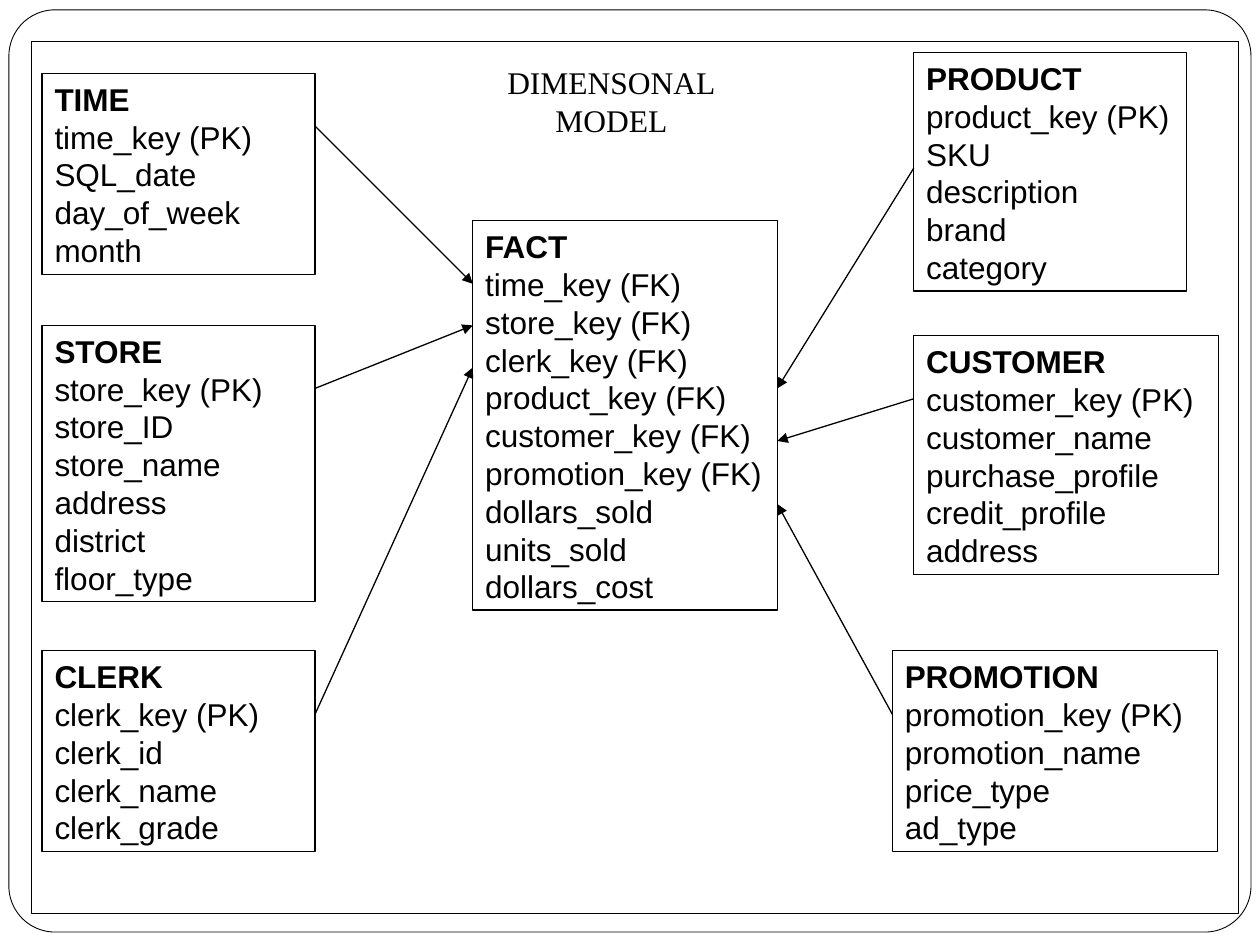
import pptx
import pptx.dml.color
import pptx.enum.shapes
import pptx.enum.text
import pptx.oxml
import pptx.oxml.ns
import pptx.util

Cm, Pt = pptx.util.Cm, pptx.util.Pt
SHAPE = pptx.enum.shapes.MSO_SHAPE
ALIGN = pptx.enum.text.PP_ALIGN
COLORS = {"ink": "000000", "paper": "FFFFFF"}
FRAME_FORMAT = {
    "vertical_anchor": pptx.enum.text.MSO_ANCHOR.TOP,
    "auto_size": pptx.enum.text.MSO_AUTO_SIZE.SHAPE_TO_FIT_TEXT,
    "margin_left": Cm(0.25), "margin_right": Cm(0.25),
    "margin_top": Cm(0.13), "margin_bottom": Cm(0.13),
}


def rgb(name):
    return pptx.dml.color.RGBColor.from_string(COLORS[name])


class Diagram:
    """Holds the style and the current slide."""
    size, pitch, line_width = Pt(18), 0.76, 0.75

    def __init__(self, s):
        self.s = s

    def outline(self, line, width):
        line.color.rgb = rgb("ink")
        line.width = Pt(width)

    def box(self, kind, x, y, w, h, fill=None, width=line_width):
        sp = self.s.shapes.add_shape(kind, Cm(x), Cm(y), Cm(w), Cm(h))
        sp.shadow.inherit = False
        if fill:
            sp.fill.solid()
            sp.fill.fore_color.rgb = rgb(fill)
        else:
            sp.fill.background()
        self.outline(sp.line, width)
        return sp

    def fill_text(self, tf, lines, font, align, wrap, bold_head=False):
        for name, value in {**FRAME_FORMAT, "word_wrap": wrap}.items():
            setattr(tf, name, value)
        for i, text in enumerate(lines):
            p = tf.add_paragraph() if i else tf.paragraphs[0]
            p.alignment = align
            p.line_spacing = Pt(21.6)
            r = p.add_run()
            r.text = text
            style = {"name": font, "size": self.size, "bold": bold_head and i == 0}
            for name, value in style.items():
                setattr(r.font, name, value)
            r.font.color.rgb = rgb("ink")

    def title(self, lines, x, y, w, h):
        sp = self.s.shapes.title
        sp.left, sp.top, sp.width, sp.height = Cm(x), Cm(y), Cm(w), Cm(h)
        self.fill_text(sp.text_frame, lines, "Times New Roman", ALIGN.CENTER, False)
        # Bring the title in front of the frames
        self.s.shapes.element.append(sp.element)

    def entity(self, x, y, w, lines):
        sp = self.box(SHAPE.RECTANGLE, x, y, w, 0.25 + self.pitch * len(lines))
        self.fill_text(sp.text_frame, lines, "Arial", ALIGN.LEFT, True, bold_head=True)

    def arrow(self, x1, y1, x2, y2):
        c = self.s.shapes.add_connector(
            pptx.enum.shapes.MSO_CONNECTOR.STRAIGHT, Cm(x1), Cm(y1), Cm(x2), Cm(y2))
        self.outline(c.line, self.line_width)
        sp_pr = c.element.spPr
        sp_pr.get_or_add_ln().append(pptx.oxml.parse_xml(
            f'<a:tailEnd {pptx.oxml.ns.nsdecls("a")} type="triangle"/>'))
        sp_pr.append(pptx.oxml.parse_xml(
            f'<a:effectLst {pptx.oxml.ns.nsdecls("a")}/>'))


# Fact table: left, top, width, lines
FACT = (9.53, 4.45, 6.14, [
    "FACT", "time_key (FK)", "store_key (FK)", "clerk_key (FK)", "product_key (FK)",
    "customer_key (FK)", "promotion_key (FK)", "dollars_sold", "units_sold",
    "dollars_cost"])

# Dimensions: left, top, width, arrow start y, arrow end y, lines
DIMENSIONS = [
    (0.85, 1.48, 5.5, 2.54, 5.72,
     ["TIME", "time_key (PK)", "SQL_date", "day_of_week", "month"]),
    (0.85, 6.56, 5.5, 7.83, 6.56,
     ["STORE", "store_key (PK)", "store_ID", "store_name", "address", "district",
      "floor_type"]),
    (0.85, 13.12, 5.5, 14.4, 7.41,
     ["CLERK", "clerk_key (PK)", "clerk_id", "clerk_name", "clerk_grade"]),
    (18.42, 1.06, 5.5, 3.39, 7.83,
     ["PRODUCT", "product_key (PK)", "SKU", "description", "brand", "category"]),
    (18.42, 6.77, 6.14, 8.04, 8.89,
     ["CUSTOMER", "customer_key (PK)", "customer_name", "purchase_profile",
      "credit_profile", "address"]),
    (17.99, 13.12, 6.56, 14.4, 10.16,
     ["PROMOTION", "promotion_key (PK)", "promotion_name", "price_type", "ad_type"]),
]


def main():
    prs = pptx.Presentation()
    prs.slide_width, prs.slide_height = Cm(25.4), Cm(19.05)
    d = Diagram(prs.slides.add_slide(prs.slide_layouts[5]))

    # Frames
    border = d.box(SHAPE.ROUNDED_RECTANGLE, 0.18, 0.2, 25.04, 18.59, "paper", 0.5)
    border.adjustments[0] = 0.05
    d.box(SHAPE.RECTANGLE, 0.64, 0.84, 24.33, 17.58, "paper")

    # Tables
    for x, y, w, _, _, lines in DIMENSIONS:
        d.entity(x, y, w, lines)
    d.entity(*FACT)

    # Arrows from each dimension to the facing side of the fact table
    fact_left, fact_right = FACT[0], FACT[0] + FACT[2]
    for x, _, w, start_y, end_y, _ in DIMENSIONS:
        if x < fact_left:
            d.arrow(x + w, start_y, fact_left, end_y)
        else:
            d.arrow(x, start_y, fact_right, end_y)

    # Title
    d.title(["DIMENSONAL", "MODEL"], 9.91, 1.14, 4.83, 1.78)
    prs.save("out.pptx")


if __name__ == "__main__":
    main()
